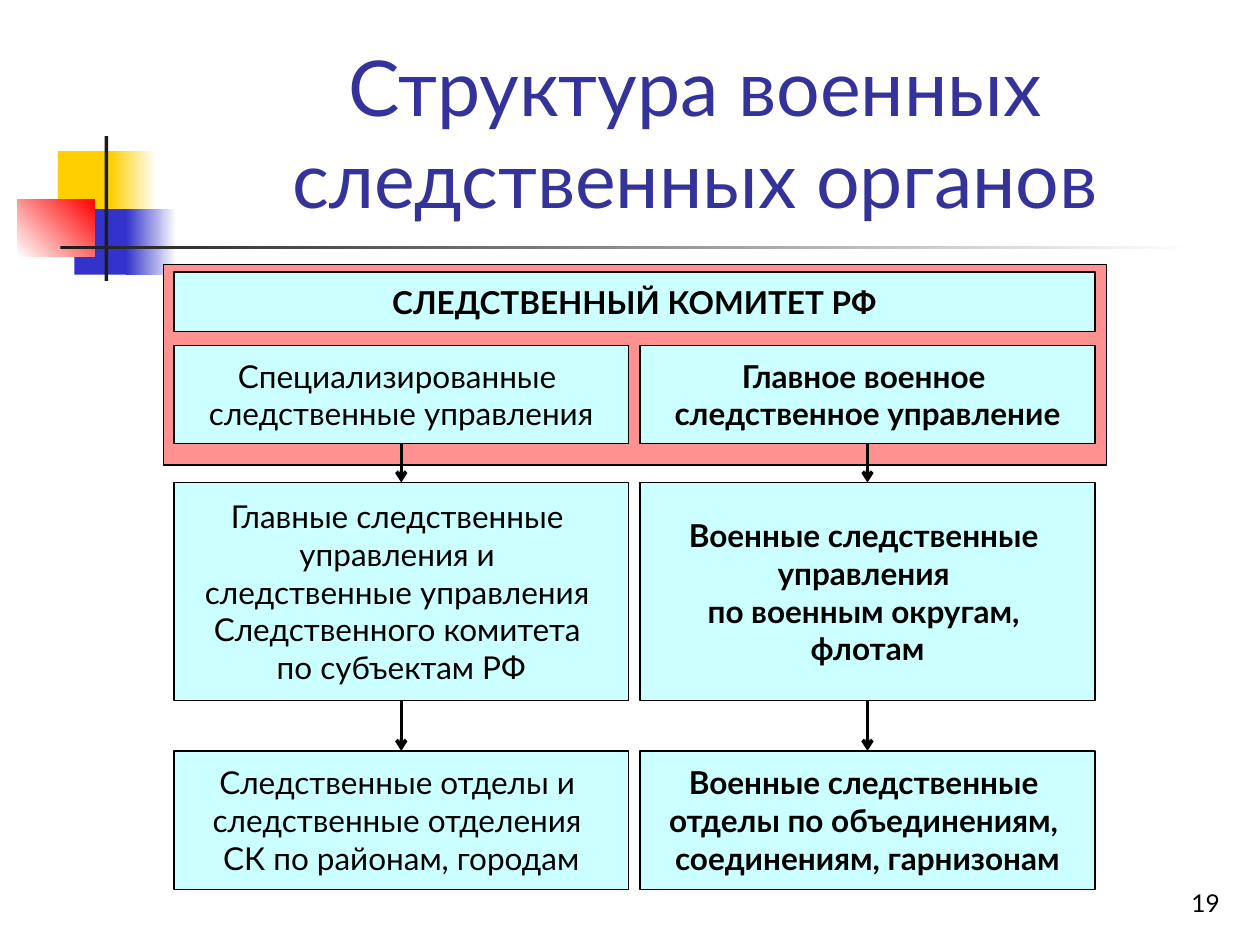
import collections

import lxml.etree
import pptx
import pptx.dml.color
import pptx.enum.shapes
import pptx.enum.text
import pptx.oxml.ns
import pptx.util

Box = collections.namedtuple("Box", "left top width height")

COLUMNS, ROWS = 1000, 750
CELL = pptx.util.Inches(0.01)
FONT = "Lato"
COLORS = {
    "white": "FFFFFF", "black": "000000", "title": "333399", "yellow": "FFCF01",
    "blue": "3333CC", "red": "FF0000", "dark": "1C1C1C", "panel": "FF9191", "cell": "CCFFFF",
}
ANCHOR = pptx.enum.text.MSO_ANCHOR
ALIGN = pptx.enum.text.PP_ALIGN
RECTANGLE = pptx.enum.shapes.MSO_SHAPE.RECTANGLE

HEADING = "СЛЕДСТВЕННЫЙ КОМИТЕТ РФ"
BRANCHES = [
    (False, [
        ["Специализированные ", "следственные управления"],
        ["Главные следственные ", "управления и ", "следственные управления ",
         "Следственного комитета ", "по субъектам РФ"],
        ["Следственные отделы и ", "следственные отделения ", "СК по районам, городам"],
    ]),
    (True, [
        ["Главное военное ", "следственное управление"],
        ["Военные следственные ", "управления ", "по военным округам, ", "флотам"],
        ["Военные следственные ", "отделы по объединениям, ", "соединениям, гарнизонам"],
    ]),
]


def color(name):
    """Return the named colour."""
    return pptx.dml.color.RGBColor.from_string(COLORS[name])


def within(box, left, top, width, height):
    """Return a box placed relative to the corner of another box."""
    return Box(box.left + left, box.top + top, width, height)


def lengths(box):
    """Convert grid cells to slide lengths."""
    return [cells * CELL for cells in box]


def apply(target, values):
    """Set attributes of an object from a dict."""
    for name, value in values.items():
        setattr(target, name, value)


def write(shape, lines, size, tint="black", bold=False, align=ALIGN.CENTER,
          anchor=ANCHOR.MIDDLE, wrap=False):
    """Write formatted lines, one paragraph each."""
    frame = shape.text_frame
    apply(frame, {
        "auto_size": pptx.enum.text.MSO_AUTO_SIZE.NONE,
        "word_wrap": wrap,
        "vertical_anchor": anchor,
        "text": "\n".join(lines),
    })
    for para in frame.paragraphs:
        para.alignment = align
        for span in para.runs:
            apply(span.font, {"name": FONT, "size": pptx.util.Pt(size), "bold": bold})
            span.font.color.rgb = color(tint)


def add_rectangle(page, box, start, end=None, angle=0, outlined=False):
    """Add a rectangle with a solid or gradient fill."""
    shape = page.shapes.add_shape(RECTANGLE, *lengths(box))
    shape.shadow.inherit = False
    if end:
        shape.fill.gradient()
        shape.fill.gradient_angle = angle
        for stop, name in zip(shape.fill.gradient_stops, (start, end)):
            stop.color.rgb = color(name)
    else:
        shape.fill.solid()
        shape.fill.fore_color.rgb = color(start)
    if outlined:
        shape.line.color.rgb = color("black")
        shape.line.width = pptx.util.Pt(0.75)
    else:
        shape.line.fill.background()
    return shape


def add_arrow(page, upper, lower):
    """Join two stacked boxes with a downward arrow."""
    center = upper.left + upper.width / 2
    ends = [center, upper.top + upper.height, center, lower.top]
    arrow = page.shapes.add_connector(
        pptx.enum.shapes.MSO_CONNECTOR.STRAIGHT, *[int(cells * CELL) for cells in ends])
    arrow.line.color.rgb = color("black")
    arrow.line.width = pptx.util.Pt(2)
    qn = pptx.oxml.ns.qn
    lxml.etree.SubElement(arrow.line._get_or_add_ln(), qn("a:tailEnd"), type="arrow")
    lxml.etree.SubElement(arrow._element.spPr, qn("a:effectLst"))


def draw_ornament(page, box):
    """Draw the coloured squares and the crossing rules."""
    add_rectangle(page, within(box, 32, 12, 48, 52), "yellow")
    add_rectangle(page, within(box, 74, 12, 36, 52), "yellow", "white")
    add_rectangle(page, within(box, 45, 58, 46, 52), "blue")
    add_rectangle(page, within(box, 86, 58, 40, 52), "blue", "white")
    add_rectangle(page, within(box, 0, 50, 61, 46), "white", "red", angle=45)
    add_rectangle(page, within(box, 69, 0, 3, box.height), "dark")
    add_rectangle(page, within(box, 34, 87, box.width - 34, 3), "dark", "white")


def place_title(page, box):
    """Place the slide title."""
    title = page.shapes.title
    apply(title, dict(zip(("left", "top", "width", "height"), lengths(box))))
    write(title, ["Структура военных следственных органов"], 44, "title",
          anchor=ANCHOR.BOTTOM, wrap=True)


def draw_structure(page, box):
    """Draw the committee panel and its two branches of bodies."""
    margin, gap = 8, 9
    inner = box.width - 2 * margin - 1
    width = (inner - gap) // 2
    levels = [(64, 78), (173, 173), (386, 110)]

    add_rectangle(page, within(box, 0, 0, box.width, 159), "panel", outlined=True)
    heading = add_rectangle(page, within(box, margin, 6, inner, 47), "cell", outlined=True)
    write(heading, [HEADING], 18, bold=True)

    for column, (bold, bodies) in enumerate(BRANCHES):
        left = margin + column * (width + gap)
        cells = [within(box, left, top, width, height) for top, height in levels]
        for cell, lines in zip(cells, bodies):
            write(add_rectangle(page, cell, "cell", outlined=True), lines, 18, bold=bold)
        for upper, lower in zip(cells, cells[1:]):
            add_arrow(page, upper, lower)


def place_number(page, box):
    """Place the page number."""
    number = page.shapes.add_textbox(*lengths(box))
    write(number, ["19"], 14, align=ALIGN.RIGHT, anchor=ANCHOR.BOTTOM, wrap=True)


def main():
    """Build and save the deck."""
    deck = pptx.Presentation()
    apply(deck, {"slide_width": COLUMNS * CELL, "slide_height": ROWS * CELL})
    page = deck.slides.add_slide(deck.slide_layouts.get_by_name("Title Only"))
    draw_ornament(page, Box(14, 108, 934, 115))
    place_title(page, Box(126, 23, 852, 160))
    draw_structure(page, Box(130, 210, 748, 496))
    place_number(page, Box(770, 683, 208, 50))
    deck.save("out.pptx")


if __name__ == "__main__":
    main()
